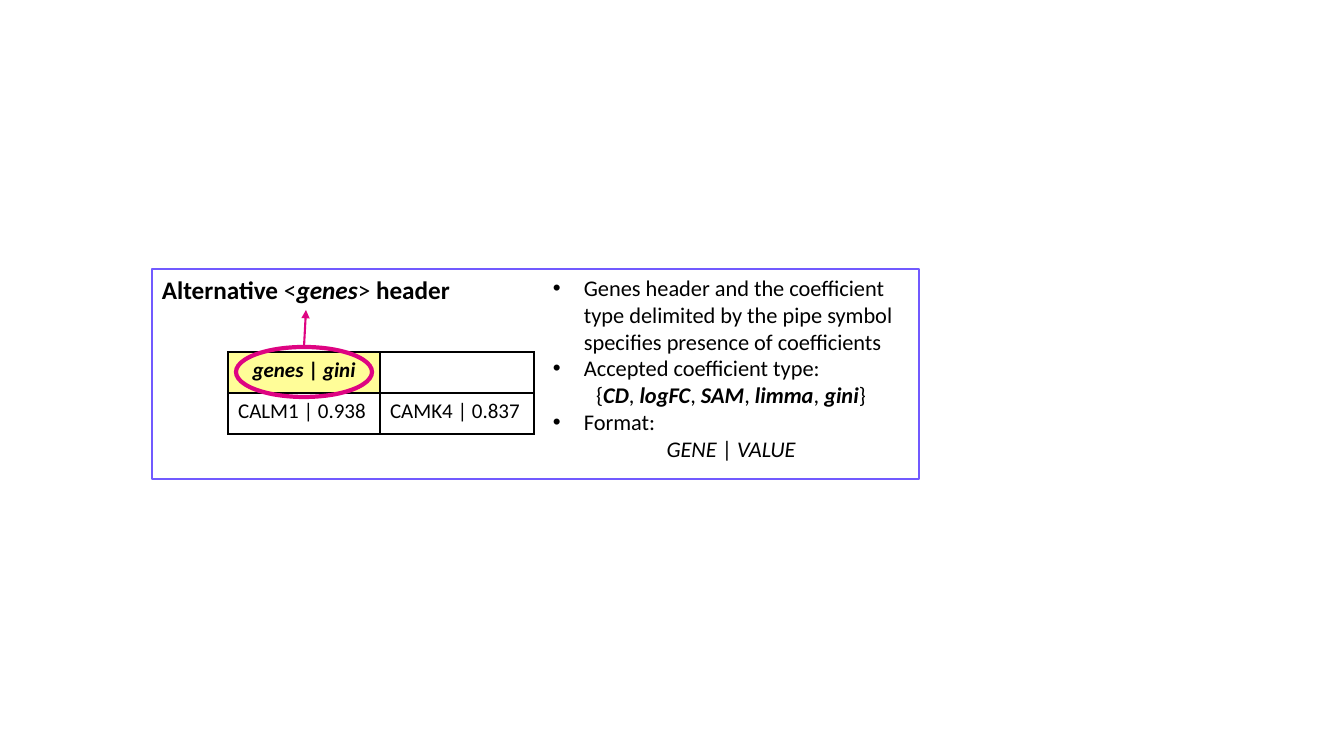
import pptx
import pptx.util
import pptx.dml.color
import pptx.enum.shapes
import pptx.enum.text
import pptx.oxml
import pptx.oxml.ns

SCALE = 914400 / 100.8
COLORS = {"text": "000000", "border": "000000", "header": "FFFD98",
          "accent": "DE0482", "frame": "715AFF"}
FONT = "Calibri"
CENTER = pptx.enum.text.PP_ALIGN.CENTER
SHAPES = pptx.enum.shapes.MSO_SHAPE


def px(pixels):
    """Turn picture pixels into EMU."""
    return pptx.util.Emu(round(pixels * SCALE))


def color(name):
    """Look up a named colour."""
    return pptx.dml.color.RGBColor.from_string(COLORS[name])


def add_child(parent, markup):
    """Append a DrawingML element given as markup."""
    prefix, rest = markup.split(" ", 1)
    namespace = pptx.oxml.ns.nsdecls("a")
    parent.append(pptx.oxml.parse_xml(f"{prefix} {namespace} {rest}"))


def add_spans(para, spans, size):
    """Add (text, style) runs; style holds b for bold and i for italic."""
    for text, style in spans:
        span = para.add_run()
        span.text = text
        span.font.name = FONT
        span.font.size = pptx.util.Pt(size)
        span.font.color.rgb = color("text")
        span.font.bold = "b" in style
        span.font.italic = "i" in style


def add_bullet(para):
    """Give a paragraph a hanging round bullet."""
    properties = para._p.get_or_add_pPr()
    properties.set("marL", str(px(31)))
    properties.set("indent", str(-px(31)))
    add_child(properties, '<a:buFont typeface="Arial"/>')
    add_child(properties, '<a:buChar char="\u2022"/>')


def add_text(page, bounds, paragraphs, size, wrap=True):
    """Add a text box from (kind, spans) paragraphs."""
    box = page.shapes.add_textbox(*map(px, bounds))
    frame = box.text_frame
    frame.word_wrap = wrap
    for index, (kind, spans) in enumerate(paragraphs):
        para = frame.add_paragraph() if index else frame.paragraphs[0]
        if kind == "bullet":
            add_bullet(para)
        elif kind == "center":
            para.alignment = CENTER
        add_spans(para, spans, size)


def add_outline(page, preset, bounds, line_color, width):
    """Add an unfilled preset shape."""
    shape = page.shapes.add_shape(preset, *map(px, bounds))
    shape.shadow.inherit = False
    shape.fill.background()
    shape.line.color.rgb = color(line_color)
    shape.line.width = pptx.util.Pt(width)


def add_arrow(page, start, end):
    """Add a straight accent arrow."""
    arrow = page.shapes.add_connector(
        pptx.enum.shapes.MSO_CONNECTOR.STRAIGHT, *map(px, start + end))
    arrow.line.color.rgb = color("accent")
    arrow.line.width = pptx.util.Pt(1.5)
    add_child(arrow.line._get_or_add_ln(), '<a:tailEnd type="triangle"/>')
    add_child(arrow._element.spPr, "<a:effectLst />")


def style_cell(cell, fill):
    """Set a cell's borders and its fill, if any."""
    properties = cell._tc.get_or_add_tcPr()
    for side in "LRTB":
        add_child(properties, f'<a:ln{side} w="12700"><a:solidFill>'
                  f'<a:srgbClr val="{COLORS["border"]}"/></a:solidFill></a:ln{side}>')
    if fill:
        cell.fill.solid()
        cell.fill.fore_color.rgb = color(fill)
    else:
        cell.fill.background()


def add_gene_table(page, bounds, widths, rows):
    """Add the gene table from rows of span lists."""
    table = page.shapes.add_table(len(rows), len(widths), *map(px, bounds)).table
    table.first_row = False
    table.horz_banding = False
    for column, width in zip(table.columns, widths):
        column.width = px(width)
    for row_index, row in enumerate(rows):
        for column_index, spans in enumerate(row):
            cell = table.cell(row_index, column_index)
            is_header = row_index == 0 and bool(spans)
            style_cell(cell, "header" if is_header else None)
            para = cell.text_frame.paragraphs[0]
            if is_header:
                para.alignment = CENTER
            add_spans(para, spans, 15)


def coefficient_spans(names):
    """List the coefficient names in braces, separated by commas."""
    spans = [("{", "")]
    for index, name in enumerate(names):
        if index:
            spans.append((", ", ""))
        spans.append((name, "bi"))
    return spans + [("}", "")]


def main():
    """Build the slide and save it."""
    deck = pptx.Presentation()
    deck.slide_width, deck.slide_height = px(1344), px(756)
    page = deck.slides.add_slide(deck.slide_layouts[6])

    add_gene_table(page, (228, 352, 306, 82), (152, 154), [
        [[("genes ", "bi"), ("| ", "b"), ("gini", "bi")], []],
        [[("CALM1 | 0.938", "")], [("CAMK4 | 0.837", "")]],
    ])
    add_outline(page, SHAPES.OVAL, (236, 347, 136, 50), "accent", 3)

    title = [("Alternative", "b"), (" <", ""), ("genes", "bi"),
             ("> ", ""), ("header", "b")]
    add_text(page, (152, 269, 310, 40), [("plain", title)], 18, wrap=False)
    add_text(page, (543, 269, 376, 201), [
        ("bullet", [("Genes header and the coefficient type delimited by the "
                     "pipe symbol specifies presence of coefficients", "")]),
        ("bullet", [("Accepted coefficient type:", "")]),
        ("center", coefficient_spans(["CD", "logFC", "SAM", "limma", "gini"])),
        ("bullet", [("Format:", "")]),
        ("center", [("GENE", "i"), (" | ", ""), ("VALUE", "i")]),
    ], 16)

    add_arrow(page, (304, 347), (306, 310))
    add_outline(page, SHAPES.RECTANGLE, (152, 269, 767, 210), "frame", 1.5)
    deck.save("out.pptx")


main()
